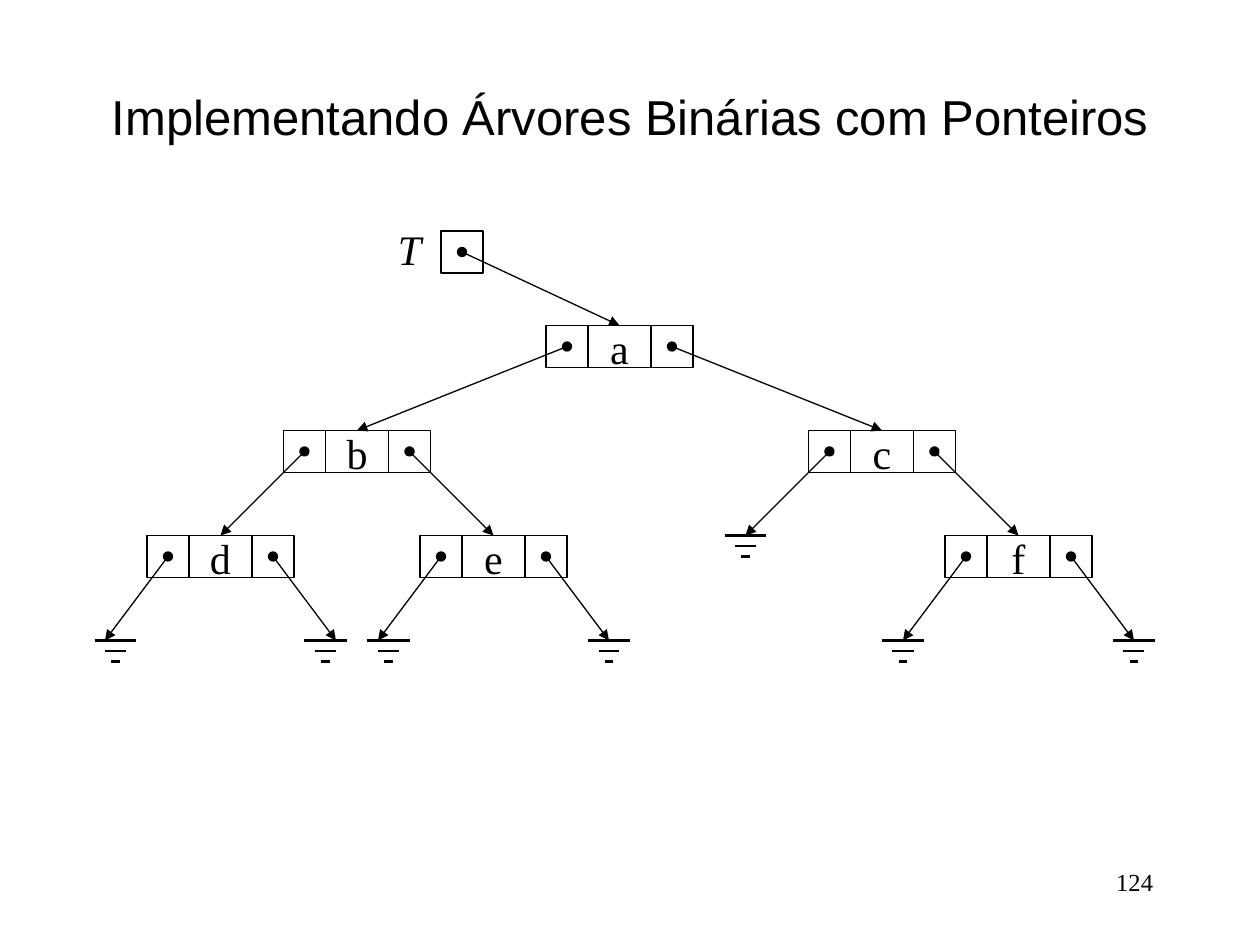
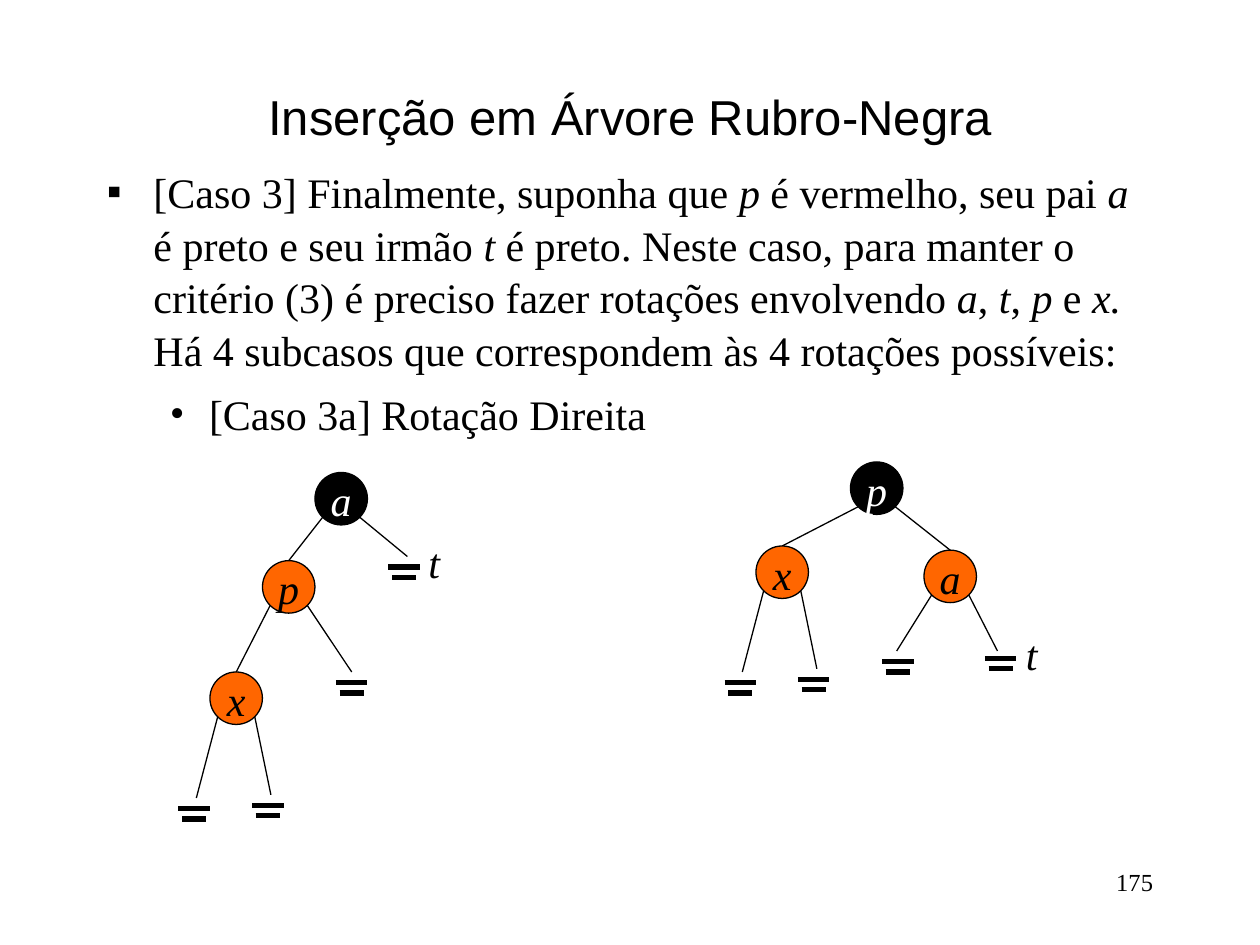
from dataclasses import dataclass
from math import sqrt
from typing import Optional

from lxml.etree import SubElement
from pptx import Presentation
from pptx.dml.color import RGBColor
from pptx.enum.shapes import MSO_CONNECTOR, MSO_SHAPE
from pptx.enum.text import MSO_ANCHOR, MSO_AUTO_SIZE, PP_ALIGN
from pptx.oxml.ns import qn
from pptx.util import Cm, Pt

BLACK, WHITE, ORANGE = "000000", "FFFFFF", "FF6600"
SERIF, SANS = "Times New Roman", "Arial"
TEXT_SIZE = 24
LINE_SPACING = 1.05
THIN = 0.75
GRID_CM = 2.54 / 12
CELL, LABEL_CELL, DIAMETER = 4, 6, 5


@dataclass(frozen=True)
class Ground:
    tip_x: float
    tip_y: float
    shift: float = 0
    gap: float = 0


@dataclass(frozen=True)
class GroundStyle:
    half_widths: tuple[float, ...]
    weight: float


@dataclass(frozen=True)
class Record:
    label: str
    centre: float
    top: float
    left: "Record | Ground"
    right: "Record | Ground"


@dataclass(frozen=True)
class Circle:
    label: str
    centre: float
    top: float
    fill: str
    left: "Circle | Ground"
    right: "Circle | Ground"


@dataclass(frozen=True)
class Bullet:
    text: str
    symbol: str
    margin: float
    hanging: float
    before: float


EARTH = GroundStyle((2, 1, 0.4), 1.5)
LEAF = GroundStyle((1.5, 1.15), 3)

POINTER_TREE = Record(
    "a", 59, 31,
    Record("b", 34, 41,
           Record("d", 21, 51, Ground(10, 61, 1), Ground(32, 61, -1)),
           Record("e", 47, 51, Ground(36, 61, 1), Ground(58, 61))),
    Record("c", 84, 41,
           Ground(71, 51),
           Record("f", 97, 51, Ground(86, 61), Ground(108, 61))))

BEFORE_ROTATION = Circle(
    "a", 32.5, 45, BLACK,
    Circle("p", 27.5, 53.4, ORANGE,
           Circle("x", 22.5, 64, ORANGE,
                  Ground(18.7, 76, -0.2, 1), Ground(25.8, 75.7, -0.3, 1)),
           Ground(33.5, 64, 0, 1)),
    Ground(38.8, 53, -0.3, 1))

AFTER_ROTATION = Circle(
    "p", 83.5, 44, BLACK,
    Circle("x", 74.5, 52, ORANGE,
           Ground(70.7, 64, -0.2, 1), Ground(77.8, 63.7, -0.3, 1)),
    Circle("a", 90.5, 52.4, ORANGE,
           Ground(85.4, 62, 0.1, 1), Ground(95, 62, 0.3, 0.7)))

CASES = (
    Bullet("[Caso 3] Finalmente, suponha que *p* é vermelho, seu pai *a *"
           "é preto e seu irmão *t* é preto. Neste caso, para manter o "
           "critério (3) é preciso fazer rotações envolvendo *a*, *t*, *p* e *x. *"
           "Há 4 subcasos que correspondem às 4 rotações possíveis:",
           "▪", 0.94, 0.94, 0),
    Bullet("[Caso 3a] Rotação Direita", "•", 2.06, 0.79, 6),
)


def grid(steps: float) -> int:
    return Cm(steps * GRID_CM)


def colour(value: str) -> RGBColor:
    return RGBColor.from_string(value)


def style_font(para, size: float, name: str = SERIF, value: str = BLACK,
               italic: Optional[bool] = None) -> None:
    font = para.font
    font.size, font.name, font.italic = Pt(size), name, italic
    font.color.rgb = colour(value)


def add_line(page, x1: float, y1: float, x2: float, y2: float,
             weight: float = THIN, pointer: bool = False) -> None:
    line = page.shapes.add_connector(
        MSO_CONNECTOR.STRAIGHT, grid(x1), grid(y1), grid(x2), grid(y2))
    line.line.width = Pt(weight)
    line.line.color.rgb = colour(BLACK)
    properties = line._element.spPr
    if pointer:
        outline = properties.find(qn("a:ln"))
        SubElement(outline, qn("a:headEnd"), type="oval")
        SubElement(outline, qn("a:tailEnd"), type="triangle")
    SubElement(properties, qn("a:effectLst"))


def add_outline(page, kind: MSO_SHAPE, x: float, y: float, width: float,
                height: float, fill: Optional[str] = None):
    shape = page.shapes.add_shape(
        kind, grid(x), grid(y), grid(width), grid(height))
    shape.shadow.inherit = False
    if fill:
        shape.fill.solid()
        shape.fill.fore_color.rgb = colour(fill)
    else:
        shape.fill.background()
    shape.line.color.rgb = colour(BLACK)
    shape.line.width = Pt(THIN)
    return shape


def write_label(shape, label: str, value: str = BLACK,
                italic: bool = False) -> None:
    frame = shape.text_frame
    frame.word_wrap = False
    para = frame.paragraphs[0]
    para.text = label
    para.alignment = PP_ALIGN.CENTER
    para.line_spacing = LINE_SPACING
    style_font(para, TEXT_SIZE, value=value, italic=italic)


def add_caption(page, label: str, x: float, y: float, width: float) -> None:
    box = page.shapes.add_textbox(grid(x), grid(y), grid(width), grid(6))
    write_label(box, label, italic=True)


def add_ground(page, ground: Ground, style: GroundStyle) -> None:
    centre = ground.tip_x + ground.shift
    for row, half in enumerate(style.half_widths):
        y = ground.tip_y + ground.gap + row
        add_line(page, centre - half, y, centre + half, y, style.weight)


def add_branch(page, x: float, y: float, child, style: GroundStyle,
               pointer: bool) -> None:
    if isinstance(child, Ground):
        add_line(page, x, y, child.tip_x, child.tip_y, pointer=pointer)
        add_ground(page, child, style)
    else:
        add_line(page, x, y, child.centre, child.top, pointer=pointer)


def add_record_tree(page, node: Record | Ground) -> None:
    if isinstance(node, Ground):
        return
    half = LABEL_CELL / 2
    for x in (node.centre - half - CELL, node.centre + half):
        add_outline(page, MSO_SHAPE.RECTANGLE, x, node.top, CELL, CELL)
    label_cell = add_outline(page, MSO_SHAPE.RECTANGLE, node.centre - half,
                             node.top, LABEL_CELL, CELL)
    write_label(label_cell, node.label)
    reach = half + CELL / 2
    for side, child in ((-1, node.left), (1, node.right)):
        add_branch(page, node.centre + side * reach, node.top + CELL / 2,
                   child, EARTH, True)
        add_record_tree(page, child)


def add_circle_tree(page, node: Circle | Ground) -> None:
    if isinstance(node, Ground):
        return
    radius = DIAMETER / 2
    circle = add_outline(page, MSO_SHAPE.OVAL, node.centre - radius, node.top,
                         DIAMETER, DIAMETER, node.fill)
    write_label(circle, node.label, WHITE if node.fill == BLACK else BLACK, True)
    diagonal = radius / sqrt(2)
    for side, child in ((-1, node.left), (1, node.right)):
        add_branch(page, node.centre + side * diagonal,
                   node.top + radius + diagonal, child, LEAF, False)
        add_circle_tree(page, child)


def add_bullets(page, bullets: tuple[Bullet, ...]) -> None:
    box = page.shapes.add_textbox(grid(9), grid(15), grid(102), grid(65))
    frame = box.text_frame
    frame.word_wrap = True
    for index, bullet in enumerate(bullets):
        para = frame.add_paragraph() if index else frame.paragraphs[0]
        properties = para._p.get_or_add_pPr()
        properties.set("marL", str(Cm(bullet.margin)))
        properties.set("indent", str(-Cm(bullet.hanging)))
        bullet_colour = SubElement(properties, qn("a:buClr"))
        SubElement(bullet_colour, qn("a:srgbClr"), val=BLACK)
        SubElement(properties, qn("a:buFont"), typeface=SERIF)
        SubElement(properties, qn("a:buChar"), char=bullet.symbol)
        para.line_spacing = LINE_SPACING
        para.space_before = Pt(bullet.before)
        style_font(para, TEXT_SIZE)
        for part, words in enumerate(bullet.text.split("*")):
            span = para.add_run()
            span.text = words
            if part % 2:
                span.font.italic = True


def add_page(deck, heading: str, number: int):
    page = deck.slides.add_slide(deck.slide_layouts[5])
    title = page.shapes.title
    title.left, title.top = grid(9), grid(8)
    title.width, title.height = grid(102), grid(6)
    frame = title.text_frame
    frame.auto_size = MSO_AUTO_SIZE.NONE
    frame.vertical_anchor = MSO_ANCHOR.MIDDLE
    para = frame.paragraphs[0]
    para.text = heading
    para.alignment = PP_ALIGN.CENTER
    style_font(para, 28, SANS)

    box = page.shapes.add_textbox(grid(86), grid(82), grid(25), grid(6))
    box.text_frame.word_wrap = True
    para = box.text_frame.paragraphs[0]
    para.text = str(number)
    para.alignment = PP_ALIGN.RIGHT
    style_font(para, 14)
    return page


def build_pointer_page(deck) -> None:
    page = add_page(deck, "Implementando Árvores Binárias com Ponteiros", 124)
    add_record_tree(page, POINTER_TREE)
    add_caption(page, "T", 36.7, 20.5, 4.6)
    add_outline(page, MSO_SHAPE.RECTANGLE, 42, 22, CELL, CELL)
    add_branch(page, 44, 24, POINTER_TREE, EARTH, True)


def build_rotation_page(deck) -> None:
    page = add_page(deck, "Inserção em Árvore Rubro-Negra", 175)
    add_bullets(page, CASES)
    for tree in (BEFORE_ROTATION, AFTER_ROTATION):
        add_circle_tree(page, tree)
    for x, y in ((39.6, 50.3), (96.5, 59)):
        add_caption(page, "t", x, y, 3.5)


def main() -> None:
    deck = Presentation()
    deck.slide_width, deck.slide_height = Cm(25.4), Cm(19.05)
    build_pointer_page(deck)
    build_rotation_page(deck)
    deck.save("out.pptx")


if __name__ == "__main__":
    main()
